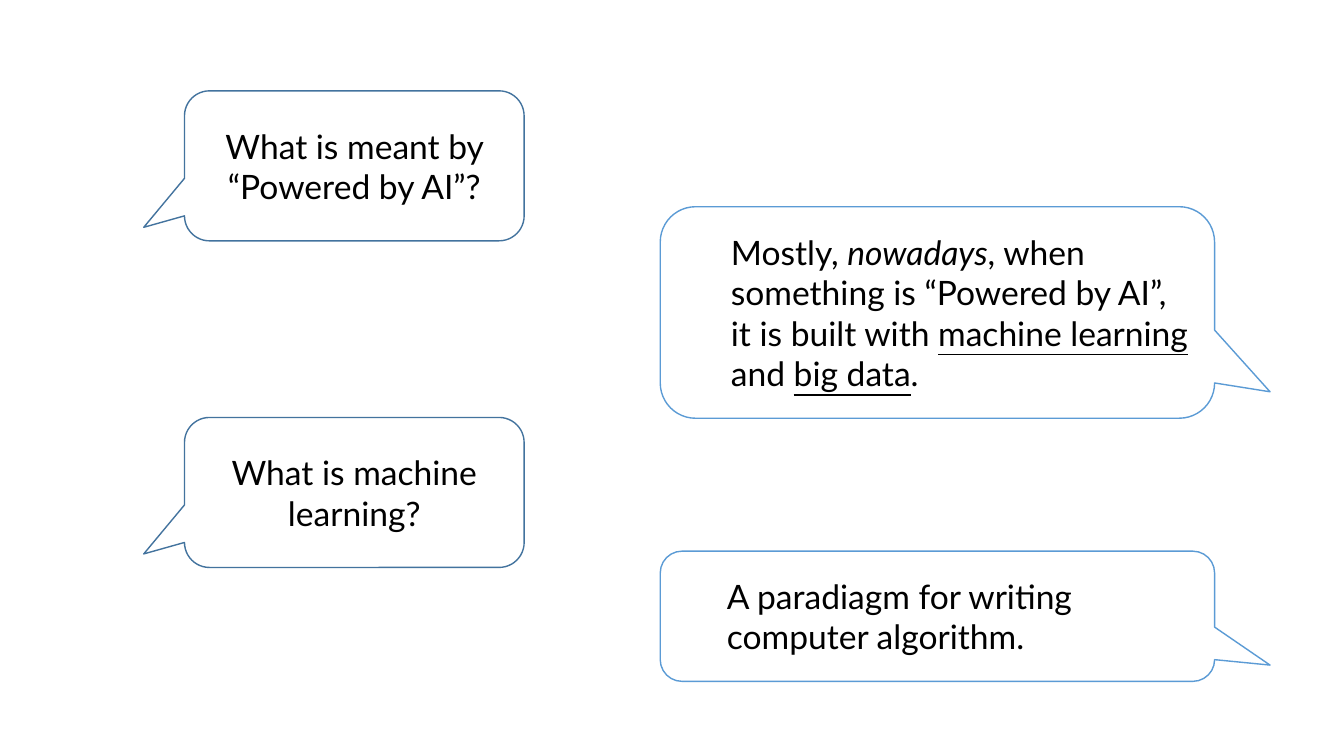
from dataclasses import dataclass

from pptx import Presentation
from pptx.dml.color import RGBColor as RGB
from pptx.enum.shapes import MSO_SHAPE as SHAPE
from pptx.enum.text import MSO_ANCHOR as ANCHOR, PP_ALIGN as ALIGN
from pptx.util import Cm, Pt


@dataclass(frozen=True)
class Theme:
    font: str = "Lato"
    size: int = 24
    line_width: int = 1
    text: RGB = RGB.from_string("000000")
    question: RGB = RGB.from_string("43739E")
    answer: RGB = RGB.from_string("5B9BD5")


class Dialogue:
    """Speech bubbles: questions on the left, answers on the right."""

    def __init__(self, slide, theme):
        self.slide = slide
        self.theme = theme

    def bubble(self, left, top, width, height, tail, color, runs):
        t = self.theme
        sp = self.slide.shapes.add_shape(
            SHAPE.ROUNDED_RECTANGULAR_CALLOUT,
            Cm(left), Cm(top), Cm(width), Cm(height))
        sp.shadow.inherit = False
        sp.fill.background()
        sp.line.color.rgb = color
        sp.line.width = Pt(t.line_width)
        # Tail tip, relative to the bubble centre
        sp.adjustments[0], sp.adjustments[1] = tail

        tf = sp.text_frame
        tf.word_wrap = True
        tf.vertical_anchor = ANCHOR.MIDDLE
        p = tf.paragraphs[0]
        p.font.name = t.font
        p.font.size = Pt(t.size)
        for text, style in runs:
            r = p.add_run()
            r.text = text
            r.font.color.rgb = t.text
            if style == "italic":
                r.font.italic = True
            elif style == "underline":
                r.font.underline = True
        return p

    def question(self, top, text):
        p = self.bubble(4.65, top, 8.56, 3.78, (-0.62, 0.41),
                        self.theme.question, [(text, None)])
        p.alignment = ALIGN.CENTER

    def answer(self, top, height, runs):
        p = self.bubble(16.64, top, 13.97, height, (0.6, 0.375),
                        self.theme.answer, runs)
        p.alignment = ALIGN.LEFT
        p.level = 1
        pPr = p._p.get_or_add_pPr()
        pPr.set("marL", str(Cm(1.27)))
        pPr.set("indent", "0")


def main():
    prs = Presentation()
    prs.slide_width, prs.slide_height = Cm(33.87), Cm(19.05)
    s = prs.slides.add_slide(prs.slide_layouts[6])
    talk = Dialogue(s, Theme())

    # Powered by AI
    talk.question(2.29, "What is meant by “Powered by AI”?")
    talk.answer(5.21, 5.33, [
        ("Mostly, ", None),
        ("nowadays", "italic"),
        (", when something is “Powered by AI”, it is built with ", None),
        ("machine learning", "underline"),
        (" and ", None),
        ("big data", "underline"),
        (".", None),
    ])

    # Machine learning
    talk.question(10.52, "What is machine learning?")
    talk.answer(13.89, 3.28,
                [("A paradiagm for writing computer algorithm.", None)])

    prs.save("out.pptx")


if __name__ == "__main__":
    main()
